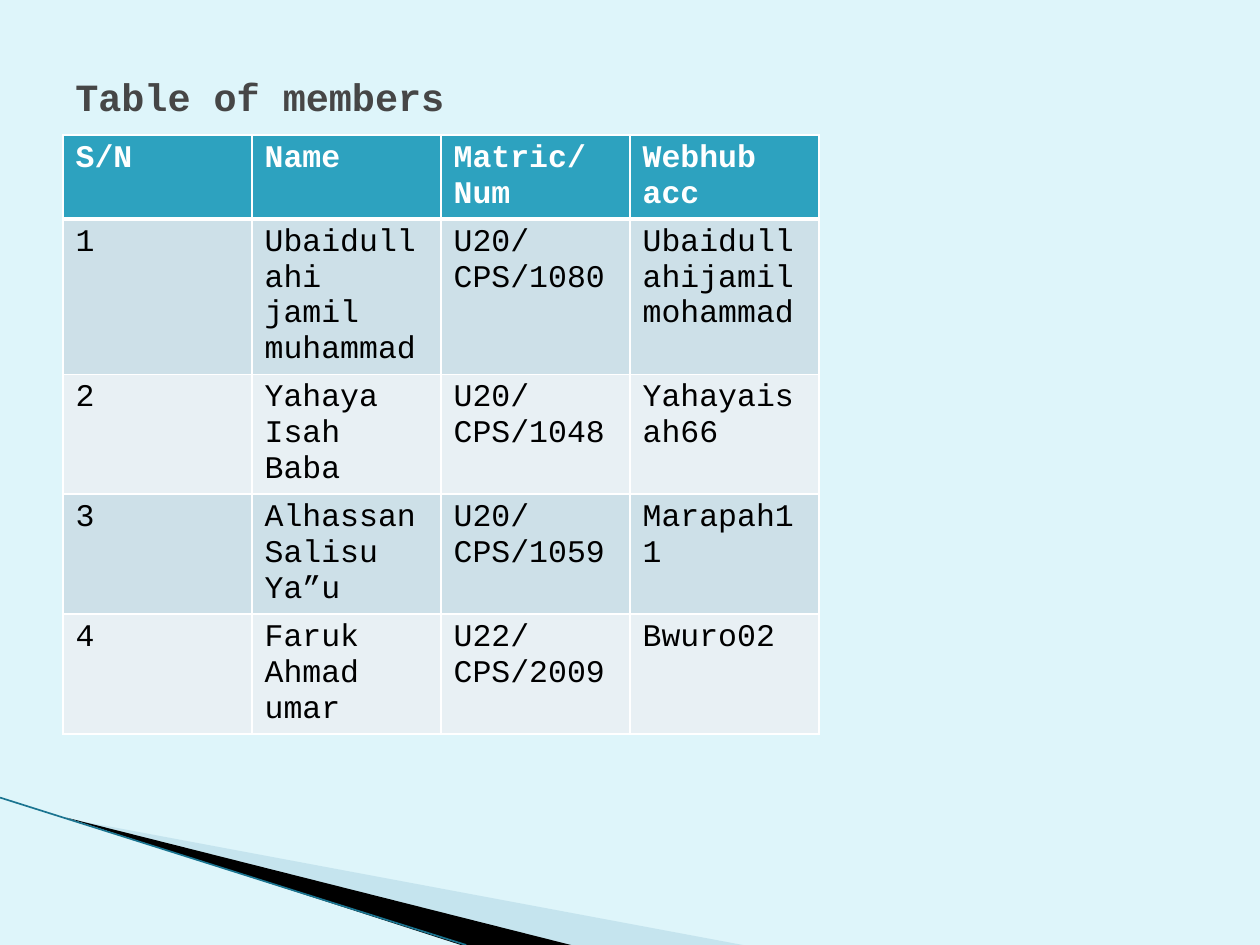
"""Build the slide that lists the members in a table."""
from lxml import etree
from pptx import Presentation
from pptx.dml.color import RGBColor
from pptx.enum.text import MSO_ANCHOR
from pptx.oxml import parse_xml
from pptx.oxml.ns import nsdecls, qn
from pptx.util import Inches, Pt

MIDDLE, TOP = MSO_ANCHOR.MIDDLE, MSO_ANCHOR.TOP
PALE = RGBColor(0xDE, 0xF5, 0xFA)
MIST = RGBColor(0xA0, 0xCB, 0xDC)
DEEP = RGBColor(0x1A, 0x74, 0x90)
TEAL = RGBColor(0x2D, 0xA2, 0xBF)
BANDS = RGBColor(0xE8, 0xF0, 0xF4), RGBColor(0xCD, 0xE0, 0xE8)
GREY = RGBColor(0x46, 0x46, 0x46)
WHITE = RGBColor(0xFF, 0xFF, 0xFF)
BLACK = RGBColor(0, 0, 0)

ROWS = [
    ("S/N", "Name", "Matric/Num", "Webhub\nacc"),
    ("1", "Ubaidullahi jamil muhammad", "U20/CPS/1080", "Ubaidullahijamilmohammad"),
    ("2", "Yahaya Isah Baba", "U20/CPS/1048", "Yahayaisah66"),
    ("3", "Alhassan Salisu Ya”u", "U20/CPS/1059", "Marapah11"),
    ("4", "Faruk Ahmad umar", "U22/CPS/2009", "Bwuro02"),
]
LINES = 2, 4, 3, 3, 3
WEDGES = [
    ([(55, 650), (595, 751), (456, 751)], MIST, 40),
    ([(53, 649), (457, 751), (372, 752)], BLACK, 100),
]


def write(tf, text, size, color, bold):
    tf.text = text
    for p in tf.paragraphs:
        font = p.runs[0].font
        font.color.rgb = color
        style = {"name": "Courier New", "size": Pt(size), "bold": bold}
        for key, value in style.items():
            setattr(font, key, value)


def add_border(cell, index, side, width):
    ln = parse_xml(
        f'<a:{side} {nsdecls("a")} w="{Pt(width)}"><a:solidFill>'
        f'<a:srgbClr val="{WHITE}"/></a:solidFill></a:{side}>')
    cell._tc.get_or_add_tcPr().insert(index, ln)


prs = Presentation()
prs.slide_width, prs.slide_height = W, H = Inches(10), Inches(7.5)
s = prs.slides.add_slide(prs.slide_layouts[6])
s.background.fill.solid()
s.background.fill.fore_color.rgb = PALE

for points, color, opacity in WEDGES:
    fb = s.shapes.build_freeform(*points[0], scale=W / 1000)
    fb.add_line_segments(points[1:], close=True)
    sp = fb.convert_to_shape()
    sp.shadow.inherit = False
    sp.fill.solid()
    sp.fill.fore_color.rgb = color
    sp.line.fill.background()
    if opacity < 100:
        clr = sp._element.spPr.find(".//" + qn("a:srgbClr"))
        etree.SubElement(clr, qn("a:alpha"), val=str(opacity * 1000))

edge = s.shapes.add_connector(1, 0, int(H * 0.844), int(W * 0.37), H)
edge.line.color.rgb = DEEP
edge.line.width = Pt(0.95)
etree.SubElement(edge._element.spPr, qn("a:effectLst"))

heights = [Inches(0.1 + 0.28 * n) for n in LINES]
table = s.shapes.add_table(len(ROWS), len(ROWS[0]), int(W * 0.05), Inches(1.07),
                           int(W * 0.6), sum(heights)).table
for col in table.columns:
    col.width = int(W * 0.15)
for i, (row, height) in enumerate(zip(ROWS, heights)):
    table.rows[i].height = height
    for j, text in enumerate(row):
        cell = table.cell(i, j)
        cell.fill.solid()
        cell.fill.fore_color.rgb = BANDS[i % 2] if i else TEAL
        write(cell.text_frame, text, 18, BLACK if i else WHITE, i == 0)
        widths = {"lnL": 1, "lnR": 1, "lnT": 3 if i == 1 else 1, "lnB": 1 if i else 3}
        for index, (side, width) in enumerate(widths.items()):
            add_border(cell, index, side, width)

title = s.shapes.add_textbox(int(W * 0.05), int(H * 0.04), int(W * 0.9), Inches(0.93))
tf = title.text_frame
for key, value in {"word_wrap": True, "vertical_anchor": MIDDLE}.items():
    setattr(tf, key, value)
write(tf, "Table of members", 22, GREY, True)

prs.save("out.pptx")
